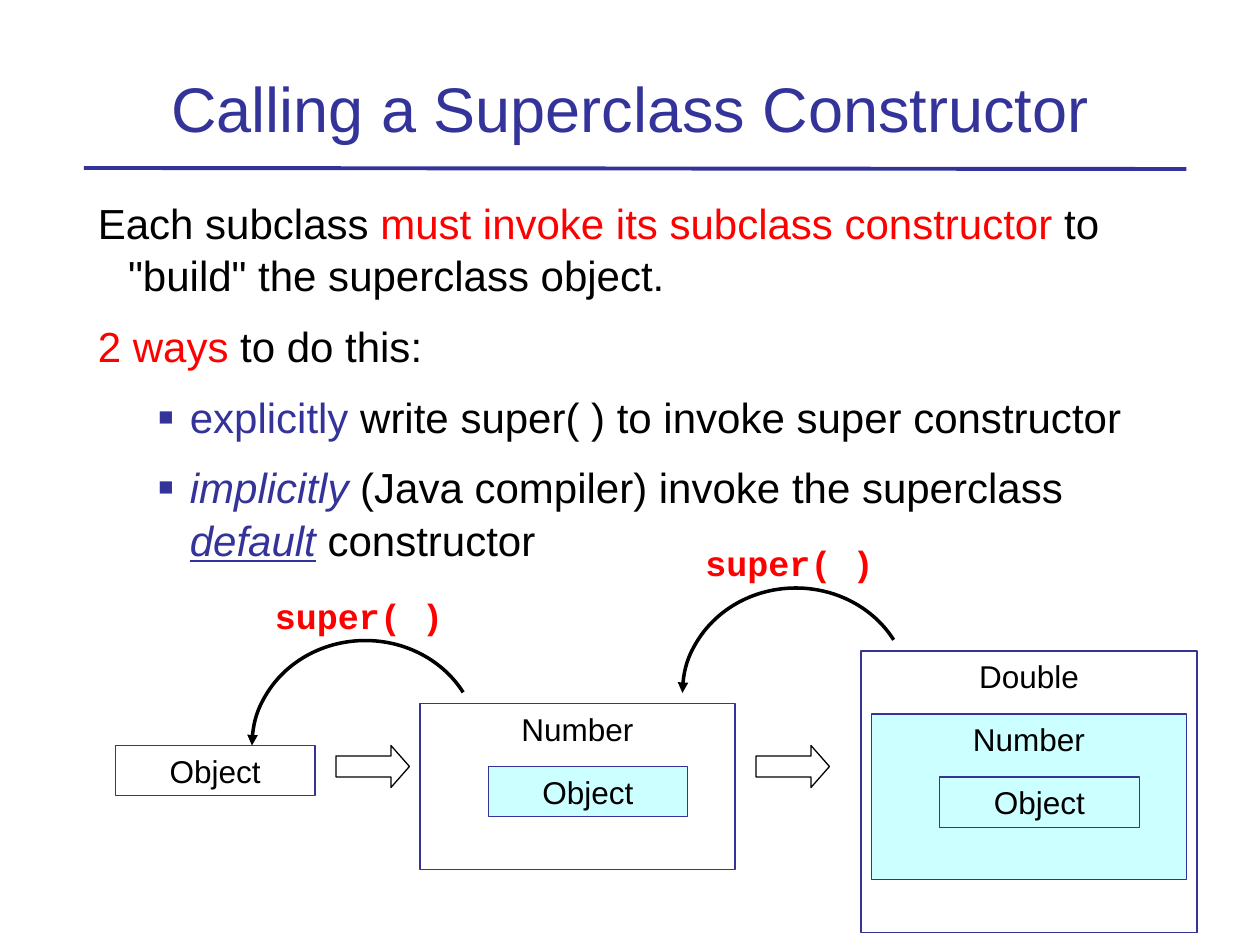
from typing import NamedTuple, Optional

from lxml.etree import SubElement
from pptx import Presentation
from pptx.dml.color import RGBColor
from pptx.enum.shapes import MSO_CONNECTOR, MSO_SHAPE
from pptx.enum.text import MSO_ANCHOR, MSO_AUTO_SIZE, PP_ALIGN
from pptx.oxml.ns import qn
from pptx.util import Inches, Pt

NAVY = RGBColor(0x33, 0x33, 0x99)
RED = RGBColor(0xFF, 0x00, 0x00)
BLACK = RGBColor(0x00, 0x00, 0x00)
CYAN = RGBColor(0xCC, 0xFF, 0xFF)

# Grid of 120 columns by 90 rows on the slide
UNIT = Inches(10) // 120
OBJECT_SIZE = (19, 4.8)
NUMBER_SIZE = (30, 15.8)
DOUBLE_SIZE = (32, 26.8)


class ClassBox(NamedTuple):
    name: str
    col: float
    row: float
    size: tuple
    fill: Optional[RGBColor] = None


class SuperCall(NamedTuple):
    col: float
    row: float


class Run(NamedTuple):
    text: str
    color: RGBColor = BLACK
    italic: bool = False
    underline: bool = False


class Item(NamedTuple):
    runs: list
    bullet: bool = False


CLASS_BOXES = [
    ClassBox("Object", 11, 71, OBJECT_SIZE),
    ClassBox("Number", 40, 67, NUMBER_SIZE),
    ClassBox("Object", 46.5, 73, OBJECT_SIZE, CYAN),
    ClassBox("Double", 82, 62, DOUBLE_SIZE),
    ClassBox("Number", 83, 68, NUMBER_SIZE, CYAN),
    ClassBox("Object", 89.5, 74, OBJECT_SIZE, CYAN),
]
BLOCK_ARROW_COLS = [32, 72]
SUPER_CALLS = [SuperCall(65, 56), SuperCall(24, 61)]

ITEMS = [
    Item([Run("Each subclass "),
          Run("must invoke its subclass constructor", RED),
          Run(' to "build" the superclass object.')]),
    Item([Run("2 ways", RED), Run(" to do this:")]),
    Item([Run("explicitly", NAVY),
          Run(" write super( ) to invoke super constructor")], bullet=True),
    Item([Run("implicitly", NAVY, italic=True),
          Run(" (Java compiler) invoke the superclass "),
          Run("default", NAVY, italic=True, underline=True),
          Run(" constructor")], bullet=True),
]


def grid(*cells: float) -> list:
    return [round(c * UNIT) for c in cells]


def place(s, col: float, row: float, cols: float, rows: float) -> None:
    s.left, s.top, s.width, s.height = grid(col, row, cols, rows)


def add_run(p, text: str, *, size: float, color: RGBColor = BLACK,
            font: str = "Arial", bold: bool = False, italic: bool = False,
            underline: bool = False) -> None:
    r = p.add_run()
    r.text = text
    f = r.font
    f.name, f.size, f.bold = font, Pt(size), bold
    f.italic, f.underline = italic, underline
    f.color.rgb = color


def add_outline(slide, kind, cells: tuple, *, line: RGBColor = BLACK,
                width: float = 0.75, fill: Optional[RGBColor] = None):
    s = slide.shapes.add_shape(kind, *grid(*cells))
    s.shadow.inherit = False
    if fill is None:
        s.fill.background()
    else:
        s.fill.solid()
        s.fill.fore_color.rgb = fill
    s.line.color.rgb = line
    s.line.width = Pt(width)
    return s


def add_class_box(slide, box: ClassBox) -> None:
    s = add_outline(slide, MSO_SHAPE.RECTANGLE, (box.col, box.row, *box.size),
                    line=NAVY, fill=box.fill)
    tf = s.text_frame
    tf.vertical_anchor = MSO_ANCHOR.TOP
    p = tf.paragraphs[0]
    p.alignment = PP_ALIGN.CENTER
    add_run(p, box.name, size=18)


def add_super_call(slide, call: SuperCall) -> None:
    # Arc runs clockwise from the left end, where its arrowhead sits
    arc = add_outline(slide, MSO_SHAPE.ARC, (call.col, call.row, 21.6, 20), width=2)
    for i, degrees in enumerate((180, 331.5)):
        arc.adjustments[i] = degrees * 0.6
    SubElement(arc.line._get_or_add_ln(), qn("a:headEnd"), type="triangle")

    label = slide.shapes.add_textbox(*grid(call.col + 1, call.row - 5, 20, 5.3))
    tf = label.text_frame
    tf.word_wrap = True
    add_run(tf.paragraphs[0], "super( )", size=20, color=RED,
            font="Courier New", bold=True)


def format_item(p, item: Item) -> None:
    pPr = p._p.get_or_add_pPr()
    left, hang = (0.74, -0.25) if item.bullet else (0.25, -0.24)
    pPr.set("marL", str(Inches(left)))
    pPr.set("indent", str(Inches(hang)))
    p.line_spacing = 1.04
    if item.bullet:
        p.level = 1
        clr = SubElement(pPr, qn("a:buClr"))
        SubElement(clr, qn("a:srgbClr"), val=str(NAVY))
        SubElement(pPr, qn("a:buSzPct"), val="60000")
        SubElement(pPr, qn("a:buFont"), typeface="Arial")
        SubElement(pPr, qn("a:buChar"), char="■")
    else:
        SubElement(pPr, qn("a:buNone"))


def add_title(slide) -> None:
    s = slide.shapes.title
    place(s, 8, 3, 104, 11.4)
    tf = s.text_frame
    tf.auto_size = MSO_AUTO_SIZE.NONE
    tf.vertical_anchor = MSO_ANCHOR.BOTTOM
    p = tf.paragraphs[0]
    p.alignment = PP_ALIGN.CENTER
    add_run(p, "Calling a Superclass Constructor", size=36, color=NAVY)

    # Rule under the title
    (x1, y1), (x2, y2) = grid(8, 16), grid(113, 16.1)
    rule = slide.shapes.add_connector(MSO_CONNECTOR.STRAIGHT, x1, y1, x2, y2)
    rule.line.color.rgb = NAVY
    rule.line.width = Pt(2.25)
    SubElement(rule._element.spPr, qn("a:effectLst"))


def add_body(slide) -> None:
    s = slide.placeholders[1]
    place(s, 8, 18, 104, 40)
    tf = s.text_frame
    tf.auto_size = MSO_AUTO_SIZE.NONE
    for i, item in enumerate(ITEMS):
        p = tf.add_paragraph() if i else tf.paragraphs[0]
        format_item(p, item)
        p.space_before = Pt(10.5 if i else 0)
        for run in item.runs:
            add_run(p, run.text, size=24, color=run.color,
                    italic=run.italic, underline=run.underline)


def main() -> None:
    prs = Presentation()
    prs.slide_width, prs.slide_height = Inches(10), Inches(7.5)
    slide = prs.slides.add_slide(prs.slide_layouts[1])
    add_title(slide)
    add_body(slide)

    # Inheritance diagram
    for box in CLASS_BOXES:
        add_class_box(slide, box)
    for col in BLOCK_ARROW_COLS:
        s = add_outline(slide, MSO_SHAPE.RIGHT_ARROW, (col, 71, 7, 4))
        s.adjustments[1] = 0.44
    for call in SUPER_CALLS:
        add_super_call(slide, call)
    prs.save("out.pptx")


if __name__ == "__main__":
    main()
